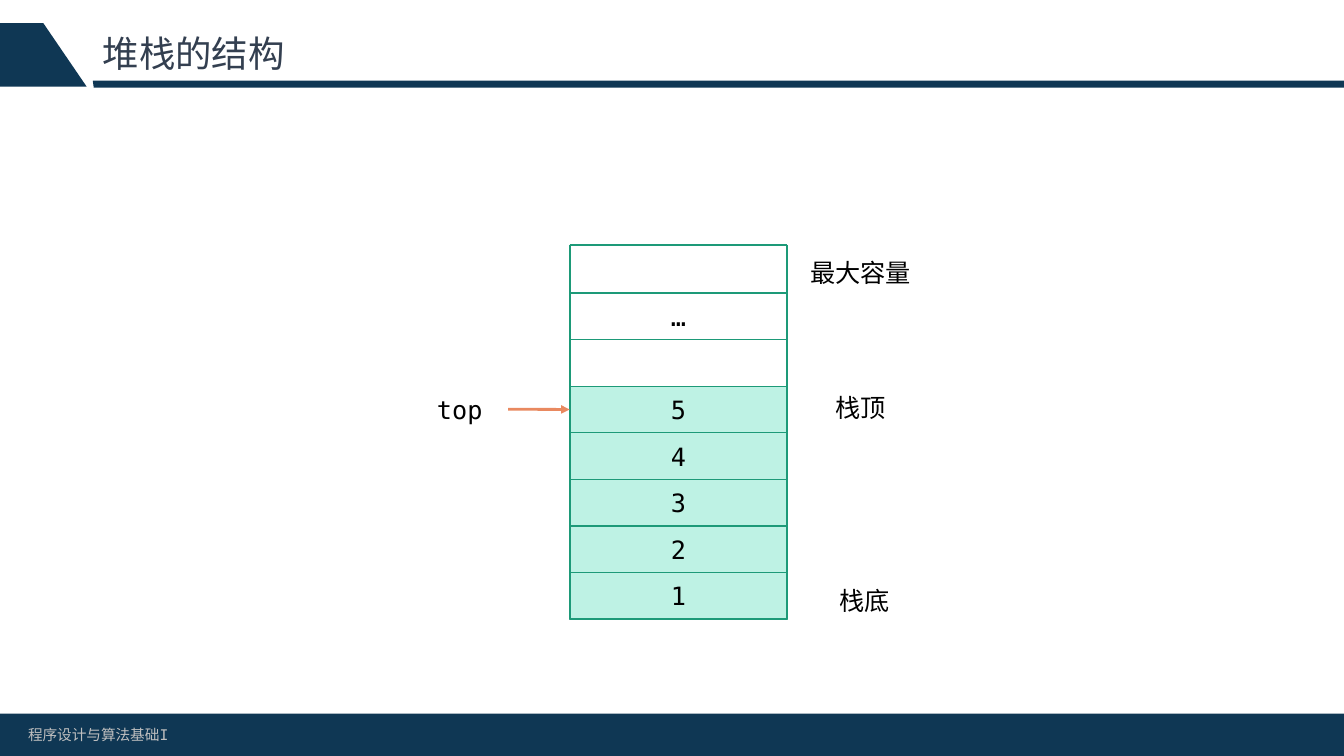
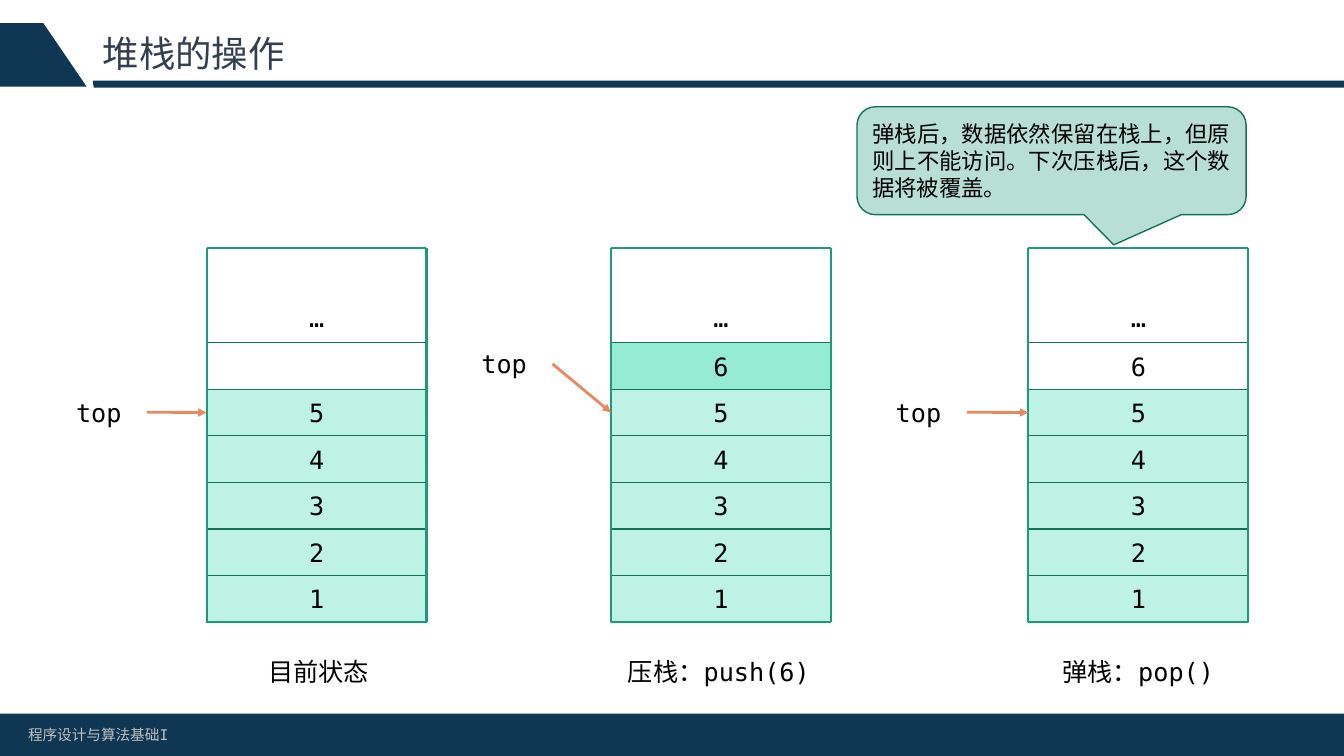
from lxml import etree
from pptx import Presentation, util as u
from pptx.dml.color import RGBColor
from pptx.enum import shapes, text
from pptx.oxml.ns import qn

COLORS = {
    "navy": "0F3754", "title": "333F50", "footer": "BFBFBF", "ink": "000000",
    "mint": "5AE0BB", "green": "1D9A78", "dark": "157259", "arrow": "E98960",
}
FONT = "DejaVu Sans Mono"
WIDTH, HEIGHT = 13.33, 7.5
ROW = 2.77 / 6  # height of one stack cell
CENTER, LEFT, JUSTIFY = (text.PP_ALIGN.CENTER, text.PP_ALIGN.LEFT,
                         text.PP_ALIGN.JUSTIFY)
MIDDLE, TOP = text.MSO_ANCHOR.MIDDLE, text.MSO_ANCHOR.TOP


def rgb(name):
    return RGBColor.from_string(COLORS[name])


class Slides:
    """Holds the deck, its style and the current page."""

    def __init__(self):
        self.deck = Presentation()
        self.deck.slide_width = u.Inches(WIDTH)
        self.deck.slide_height = u.Inches(HEIGHT)
        self.page = None

    def new_page(self, title):
        self.page = self.deck.slides.add_slide(self.deck.slide_layouts[6])
        self.outline([(0.92, 0.8), (WIDTH, 0.8), (WIDTH, 0.87), (0.93, 0.87)])
        self.outline([(0.43, 0.23), (0.86, 0.86), (0, 0.86), (0, 0.23)])
        self.shape((0, 7.08, WIDTH, 0.42), fill="navy")
        self.label("程序设计与算法基础I", (0.18, 7.15, 4.32, 0.29), size=10.5,
                   color="footer", align=LEFT, anchor=TOP)
        self.label(title, (0.92, 0.23, 11.5, 0.64), size=26, color="title",
                   align=LEFT, spacing=0.9)

    def paint(self, shape, fill=None, alpha=None, stroke=None):
        shape.shadow.inherit = False
        if fill:
            shape.fill.solid()
            shape.fill.fore_color.rgb = rgb(fill)
        else:
            shape.fill.background()
        if alpha:
            color = shape._element.spPr.find(f".//{qn('a:srgbClr')}")
            etree.SubElement(color, qn("a:alpha"), val=str(alpha * 1000))
        if stroke:
            shape.line.color.rgb = rgb(stroke)
            shape.line.width = u.Pt(1)
        else:
            shape.line.fill.background()

    def set_text(self, box, words, size=18, color="ink", align=CENTER,
                 anchor=MIDDLE, spacing=None):
        frame = box.text_frame
        frame.word_wrap = True
        frame.vertical_anchor = anchor
        para = frame.paragraphs[0]
        for key, value in {"alignment": align, "line_spacing": spacing}.items():
            setattr(para, key, value)
        span = para.add_run()
        span.text = words
        for key, value in {"name": FONT, "size": u.Pt(size)}.items():
            setattr(span.font, key, value)
        span.font.color.rgb = rgb(color)

    def label(self, words, place, **style):
        box = self.page.shapes.add_textbox(*map(u.Inches, place))
        self.set_text(box, words, **style)
        return box

    def shape(self, place, kind=shapes.MSO_SHAPE.RECTANGLE, **look):
        shape = self.page.shapes.add_shape(kind, *map(u.Inches, place))
        self.paint(shape, **look)
        return shape

    def outline(self, points):
        corners = [(u.Inches(x), u.Inches(y)) for x, y in points]
        builder = self.page.shapes.build_freeform(*corners[0])
        builder.add_line_segments(corners[1:])
        self.paint(builder.convert_to_shape(), fill="navy")

    def line(self, start, end, color="green", width=1.5):
        line = self.page.shapes.add_connector(
            shapes.MSO_CONNECTOR.STRAIGHT, *map(u.Inches, (*start, *end)))
        line.line.color.rgb = rgb(color)
        line.line.width = u.Pt(width)
        etree.SubElement(line._element.spPr, qn("a:effectLst"))
        return line

    def stack(self, left, top, bottom, width, cells, stroke):
        """Draws (words, alpha) cells from the bottom up, then the frame."""
        drawn = []
        for level, (words, alpha) in enumerate(cells, 1):
            cell = self.shape((left, bottom - level * ROW, width, ROW),
                              fill="mint" if alpha else None, alpha=alpha,
                              stroke=stroke)
            if words:
                self.set_text(cell, words)
            drawn.append(cell)
        right = left + width
        for x in (left, right):
            self.line((x, top), (x, bottom))
        for y in (top, bottom):
            self.line((left, y), (right, y))
        return drawn

    def pointer(self, left, top, cell):
        """Joins a "top" label to the left side of a cell."""
        box = self.label("top", (left, top, 0.96, 0.46))
        arrow = self.line((0, 0), (1, 1), "arrow", 2)
        arrow.begin_connect(box, 3)
        arrow.end_connect(cell, 1)
        etree.SubElement(arrow._element.spPr.find(qn("a:ln")),
                         qn("a:tailEnd"), type="triangle")

    def callout(self, words, place, adjustments):
        shape = self.shape(place, shapes.MSO_SHAPE.ROUNDED_RECTANGULAR_CALLOUT,
                           fill="green", alpha=31, stroke="dark")
        for index, value in enumerate(adjustments):
            shape.adjustments[index] = value
        self.set_text(shape, words, size=16, align=JUSTIFY)


def main():
    slides = Slides()
    filled = [(str(number), 39) for number in range(1, 6)]

    # Structure of a stack
    slides.new_page("堆栈的结构")
    cells = slides.stack(5.65, 2.43, 6.14, 2.16,
                         filled + [("", None), ("…", None)], "green")
    slides.pointer(4.08, 3.83, cells[4])
    for words, left, top in [("栈底", 7.85, 5.73), ("最大容量", 7.81, 2.47),
                             ("栈顶", 7.81, 3.81)]:
        slides.label(words, (left, top, 1.45, 0.46))

    # Stack operations: stack left, sixth cell, pointer place, caption, its left
    slides.new_page("堆栈的操作")
    states = [
        (2.05, ("", None), (0.5, 3.86), "目前状态", 2.07),
        (6.06, ("6", 63), (4.52, 3.38), "压栈：push(6)", 6.04),
        (10.2, ("6", None), (8.63, 3.86), "弹栈：pop()", 10.2),
    ]
    for left, sixth, place, caption, caption_left in states:
        cells = slides.stack(left, 2.46, 6.17, 2.18, filled + [sixth], "dark")
        slides.label("…", (left, 2.92, 2.18, 0.46))
        slides.pointer(*place, cells[4])
        slides.label(caption, (caption_left, 6.43, 2.18, 0.46))
    slides.callout("弹栈后，数据依然保留在栈上，但原则上不能访问。"
                   "下次压栈后，这个数据将被覆盖。",
                   (8.5, 1.06, 3.86, 1.07), (0.16, 0.78, 0.17))

    slides.deck.save("out.pptx")


if __name__ == "__main__":
    main()
